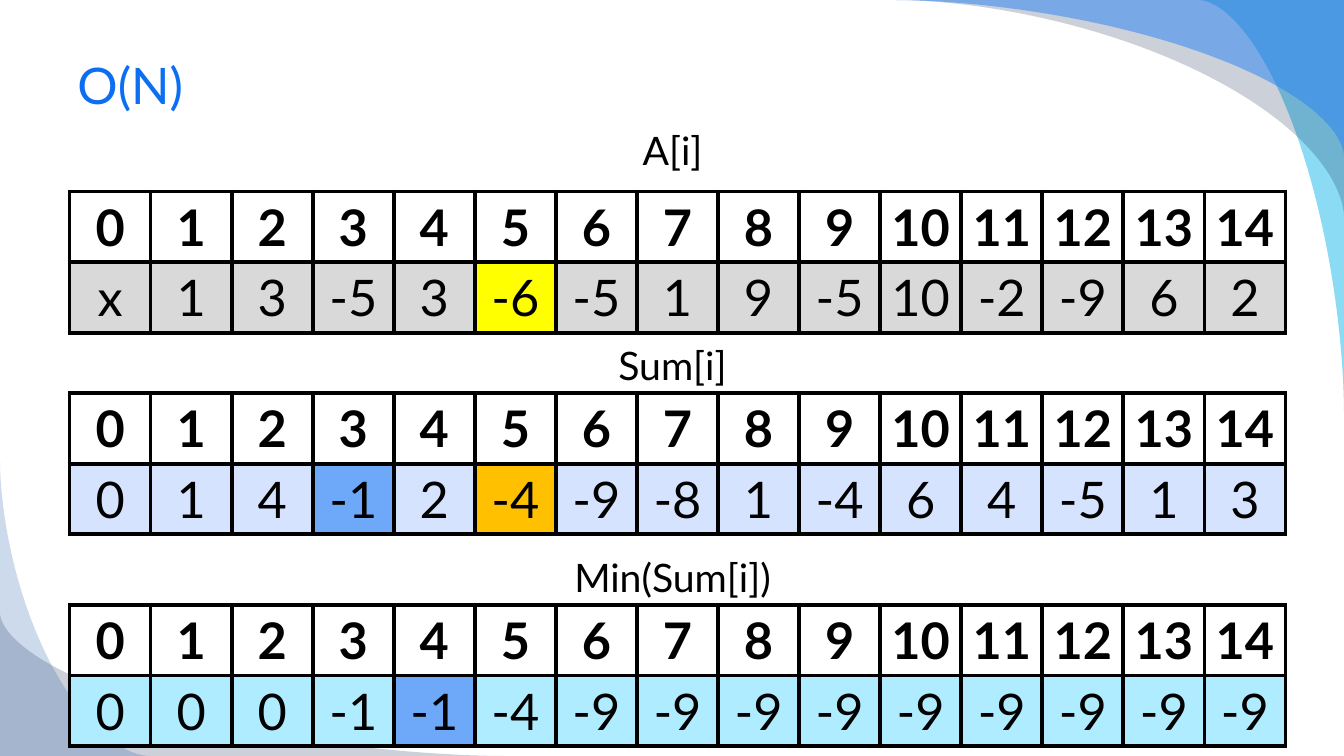
from math import cos, pi, sin

from lxml import etree
from pptx import Presentation
from pptx.dml.color import RGBColor
from pptx.enum.text import MSO_ANCHOR, PP_ALIGN
from pptx.oxml.ns import qn
from pptx.util import Inches, Pt

THEME = {
    "font": "Lato",
    "large": Pt(36),
    "label": Pt(28),
    "label_gap": Pt(5.6),
    "border": Pt(3),
    "title": "0C6FF2",
    "black": "000000",
    "white": "FFFFFF",
    "gray": "D9D9D9",
    "yellow": "FFFF00",
    "lavender": "D6E3FE",
    "orange": "FFC000",
    "blue": "6DA9F8",
    "aqua": "AFECFF",
    "cyan": "00B1E9",
    "navy": "021741",
    "azure": "247FF4",
    "royal": "084AA1",
}
WAVE_STEPS = 48
WAVE_POWER = 2 / 1.75

WAVES = [
    ((13.33, 0), 11.89, 4.08, "cyan", 45),
    ((13.33, 0), 8.89, 2.15, "navy", 20),
    ((13.33, 0), 8.89, 1.55, "azure", 49),
    ((0, 7.5), 5, 6.08, "navy", 20),
    ((0, 7.5), 1.48, 4.58, "royal", 20),
]
ARRAYS = [
    ("A[i]", 1.2, 1.9, "gray", {5: "yellow"},
     ["x", 1, 3, -5, 3, -6, -5, 1, 9, -5, 10, -2, -9, 6, 2]),
    ("Sum[i]", 3.34, 3.9, "lavender", {3: "blue", 5: "orange"},
     [0, 1, 4, -1, 2, -4, -9, -8, 1, -4, 6, 4, -5, 1, 3]),
    ("Min(Sum[i])", 5.44, 6, "aqua", {4: "blue"},
     [0, 0, 0, -1, -1, -4] + [-9] * 9),
]


def write_text(frame, text, size, color, align, bold=False):
    frame.text = text
    para = frame.paragraphs[0]
    para.alignment = align
    span = para.runs[0]
    span.font.name = THEME["font"]
    span.font.size = size
    span.font.bold = bold
    span.font.color.rgb = RGBColor.from_string(THEME[color])


def style_cell(cell, fill):
    properties = cell._tc.get_or_add_tcPr()
    for side in ("a:lnL", "a:lnR", "a:lnT", "a:lnB"):
        line = etree.SubElement(properties, qn(side), w=str(THEME["border"]))
        solid = etree.SubElement(line, qn("a:solidFill"))
        etree.SubElement(solid, qn("a:srgbClr"), val=THEME["black"])
    cell.vertical_anchor = MSO_ANCHOR.MIDDLE
    cell.fill.solid()
    cell.fill.fore_color.rgb = RGBColor.from_string(THEME[fill])


deck = Presentation()
deck.slide_width = Inches(13.33)
deck.slide_height = Inches(7.5)
page = deck.slides.add_slide(deck.slide_layouts[6])

for (corner_x, corner_y), far_x, far_y, color, opacity in WAVES:
    curve = []
    for step in range(WAVE_STEPS + 1):
        angle = pi / 2 * step / WAVE_STEPS
        across = max(sin(angle), 0) ** WAVE_POWER
        down = 1 - max(cos(angle), 0) ** WAVE_POWER
        curve.append((Inches(far_x + (corner_x - far_x) * across),
                      Inches(corner_y + (far_y - corner_y) * down)))
    builder = page.shapes.build_freeform(Inches(corner_x), Inches(corner_y))
    builder.add_line_segments(curve, close=True)
    wave = builder.convert_to_shape()
    wave.shadow.inherit = False
    wave.line.fill.background()
    wave.fill.solid()
    wave.fill.fore_color.rgb = RGBColor.from_string(THEME[color])
    tint = wave._element.spPr.find(qn("a:solidFill")).find(qn("a:srgbClr"))
    etree.SubElement(tint, qn("a:alpha"), val=str(opacity * 1000))

title_box = page.shapes.add_textbox(Inches(0.67), Inches(0.33), Inches(12), Inches(1.01))
title_box.text_frame.word_wrap = True
title_box.text_frame.vertical_anchor = MSO_ANCHOR.MIDDLE
write_text(title_box.text_frame, "O(N)", THEME["large"], "title", PP_ALIGN.LEFT)

for label, label_top, table_top, row_fill, highlights, values in ARRAYS:
    label_box = page.shapes.add_textbox(Inches(0.67), Inches(label_top), Inches(12), Inches(0.56))
    label_box.text_frame.word_wrap = True
    write_text(label_box.text_frame, label, THEME["label"], "black", PP_ALIGN.CENTER)
    label_box.text_frame.paragraphs[0].space_before = THEME["label_gap"]

    table = page.shapes.add_table(2, len(values), Inches(0.69), Inches(table_top),
                                  Inches(12.06), Inches(1.4)).table
    table.first_row = False
    table.horz_banding = False
    for index, value in enumerate(values):
        header, entry = table.cell(0, index), table.cell(1, index)
        style_cell(header, "white")
        style_cell(entry, highlights.get(index, row_fill))
        write_text(header.text_frame, str(index), THEME["large"], "black", PP_ALIGN.CENTER, True)
        write_text(entry.text_frame, str(value), THEME["large"], "black", PP_ALIGN.CENTER)

deck.save("out.pptx")
